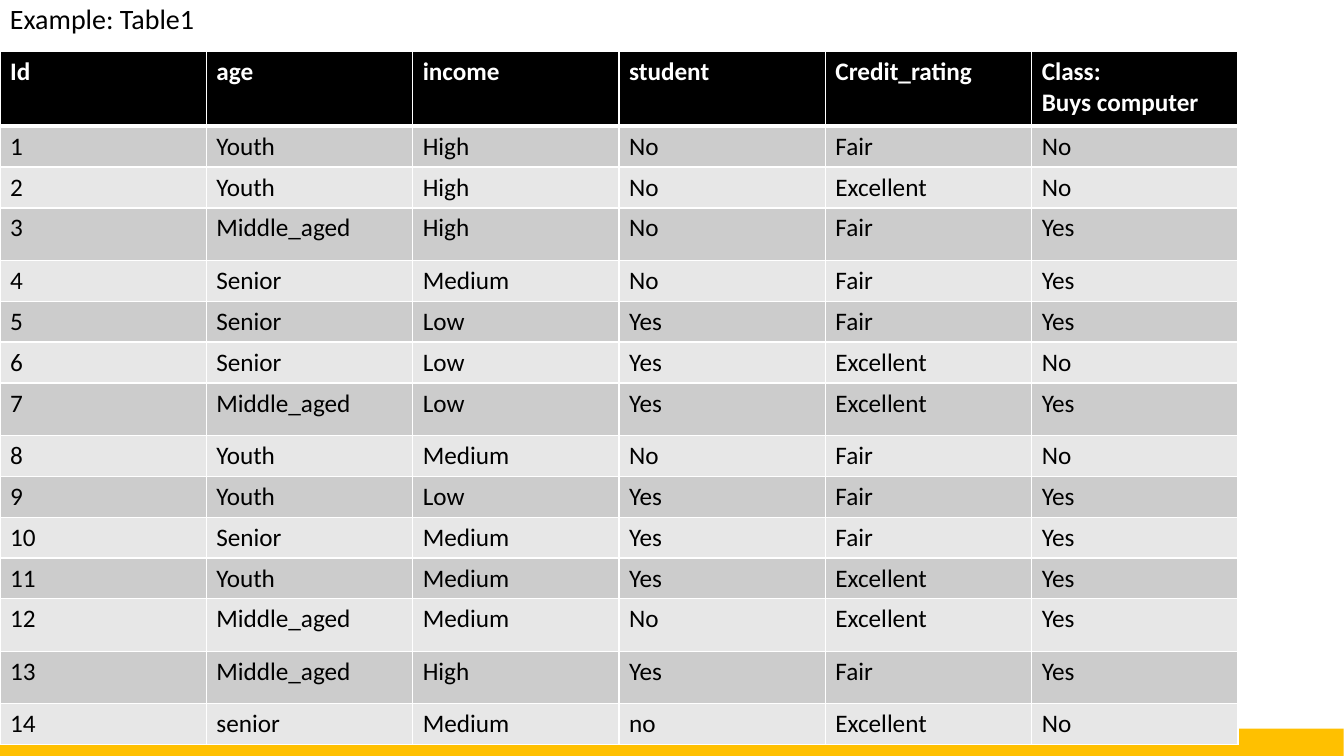
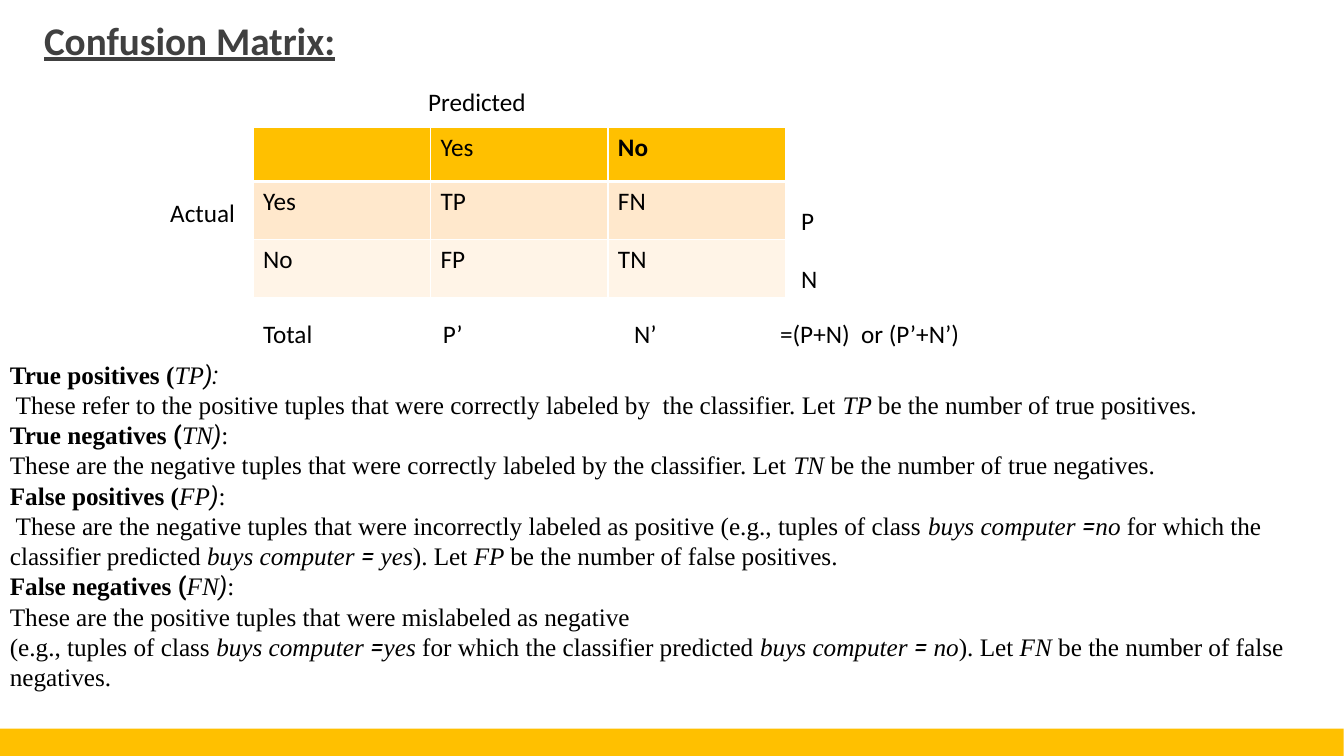
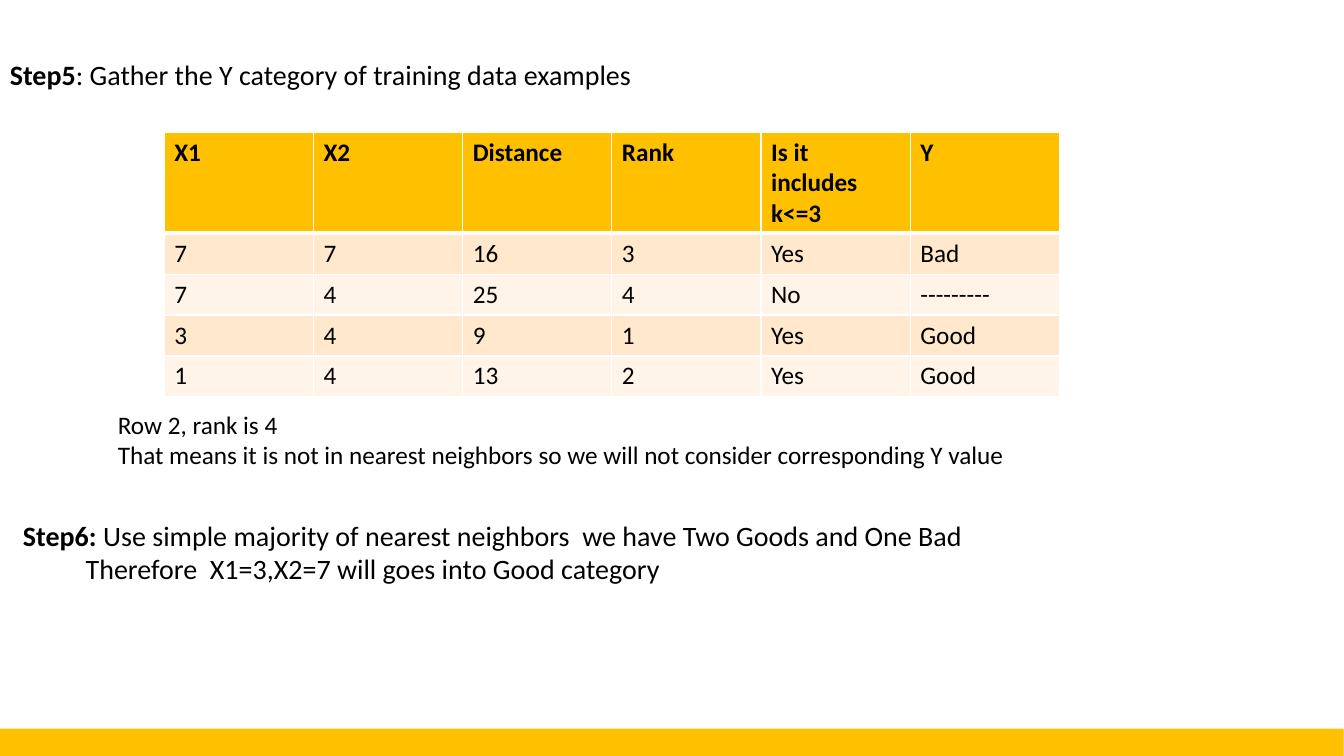
from lxml.etree import SubElement
from pptx import Presentation
from pptx.dml.color import RGBColor
from pptx.enum.shapes import MSO_SHAPE
from pptx.enum.text import MSO_ANCHOR
from pptx.oxml.ns import qn
from pptx.util import Cm, Pt

# Shared look
BLACK, WHITE, GOLD, TITLE_GREY = "000000", "FFFFFF", "FFC000", "404040"
GREY_BANDS = ("CCCCCC", "E7E7E7")
CREAM_BANDS = ("FFE8CC", "FFF4E7")
BODY_FONT, DEFINITION_FONT, SYMBOL_FONT = "Calibri", "Times New Roman", "Roboto"
color = RGBColor.from_string


def write_text(text_frame, paragraphs, size=18, font=BODY_FONT, text_color=BLACK, tab_stops=()):
    """Each paragraph is a list of (text, style); style letters: b, i, u, s (symbol font)."""
    text_frame.word_wrap = True
    for index, runs in enumerate(paragraphs):
        paragraph = text_frame.add_paragraph() if index else text_frame.paragraphs[0]
        if tab_stops:
            tab_list = SubElement(paragraph._p.get_or_add_pPr(), qn("a:tabLst"))
            for stop in tab_stops:
                SubElement(tab_list, qn("a:tab"), pos=str(Cm(stop)), algn="l")
        for text, style in runs:
            run = paragraph.add_run()
            run.text = text
            run.font.name = SYMBOL_FONT if "s" in style else font
            run.font.size = Pt(size)
            run.font.color.rgb = color(text_color)
            run.font.bold = "b" in style
            run.font.italic = "i" in style
            run.font.underline = "u" in style


def add_grid(slide, left, top, column_width, row_heights, rows, header_fill, header_color, bands):
    column_count = len(rows[0])
    table = slide.shapes.add_table(
        len(rows), column_count, Cm(left), Cm(top),
        Cm(column_width * column_count), Cm(sum(row_heights))).table
    table.horz_banding = False
    for column in table.columns:
        column.width = Cm(column_width)
    for row_index, values in enumerate(rows):
        table.rows[row_index].height = Cm(row_heights[row_index])
        is_header = row_index == 0
        for column_index, value in enumerate(values):
            cell = table.cell(row_index, column_index)
            # White rules, with a thick one under the header
            thick_side = {0: "a:lnB", 1: "a:lnT"}.get(row_index)
            for side in ("a:lnL", "a:lnR", "a:lnT", "a:lnB"):
                width = Pt(3 if side == thick_side else 1)
                line = SubElement(cell._tc.get_or_add_tcPr(), qn(side), w=str(width))
                SubElement(SubElement(line, qn("a:solidFill")), qn("a:srgbClr"), val=WHITE)
            cell.fill.solid()
            cell.fill.fore_color.rgb = color(header_fill if is_header else bands[(row_index - 1) % 2])
            write_text(cell.text_frame,
                       [[(text, "b" if is_header else "")] for text in value.splitlines()],
                       text_color=header_color if is_header else BLACK)
    return table


# Slides with the footer band
presentation = Presentation()
presentation.slide_width, presentation.slide_height = Cm(33.87), Cm(19.05)
slides = []
for _ in range(3):
    slide = presentation.slides.add_slide(presentation.slide_layouts[6])
    band = slide.shapes.add_shape(MSO_SHAPE.RECTANGLE, Cm(-0.05), Cm(18.36), Cm(33.91), Cm(0.69))
    band.shadow.inherit = False
    band.fill.solid()
    band.fill.fore_color.rgb = color(GOLD)
    band.line.fill.background()
    slides.append(slide)
example_slide, matrix_slide, steps_slide = slides

# Definitions under the confusion matrix
definitions = [
    [("True positives (", "b"), ("TP", "i"), ("):", "is")],
    [(" These refer to the positive tuples that were correctly labeled by  the classifier. Let ", ""),
     ("TP ", "i"), ("be the number of true positives.", "")],
    [("True negatives ", "b"), ("(", "bs"), ("TN", "i"), (")", "is"), (":", "")],
    [("These are the negative tuples that were correctly labeled by the classifier. Let ", ""),
     ("TN ", "i"), ("be the number of true negatives.", "")],
    [("False positives (", "b"), ("FP", "i"), (")", "is"), (":", "")],
    [(" These are the negative tuples that were incorrectly labeled as positive (e.g., tuples of class ", ""),
     ("buys computer ", "i"), ("=", "is"), ("no ", "i"), ("for which the classifier predicted ", ""),
     ("buys computer ", "i"), ("= ", "is"), ("yes", "i"), ("). Let ", ""),
     ("FP ", "i"), ("be the number of false positives.", "")],
    [("False negatives ", "b"), ("(", "bs"), ("FN", "i"), (")", "is"), (":", "")],
    [("These are the positive tuples that were mislabeled as negative", "")],
    [("(e.g., tuples of class ", ""),
     ("buys computer ", "i"), ("=", "is"), ("yes ", "i"), ("for which the classifier predicted ", ""),
     ("buys computer ", "i"), ("= ", "is"), ("no", "i"), ("). Let ", ""),
     ("FN ", "i"), ("be the number of false negatives.", "")],
]

# Text boxes: slide, (left, top, width, height), paragraphs, text options
text_boxes = [
    (example_slide, (0, -0.08, 33.86, 18.31), [[("Example: Table1", "")]], {"size": 20}),
    (matrix_slide, (0.86, 0.2, 23.22, 1.6), [[("Confusion Matrix:", "bu")]],
     {"size": 28, "text_color": TITLE_GREY}),
    (matrix_slide, (4.04, 4.85, 2.46, 1.02), [[("Actual", "")]], {}),
    (matrix_slide, (10.54, 2.06, 6.48, 1.02), [[("Predicted", "")]], {}),
    (matrix_slide, (6.38, 7.9, 13.41, 1.02), [[("Total\tP’\tN’", "")]], {"tab_stops": (4.53, 9.35)}),
    (matrix_slide, (19.94, 5.05, 2.46, 1.02), [[("P", "")]], {}),
    (matrix_slide, (19.94, 6.5, 1.96, 1.02), [[("N", "")]], {}),
    (matrix_slide, (19.41, 7.9, 5.99, 1.02), [[("=(P+N)  or (P’+N’)", "")]], {}),
    (matrix_slide, (0, 8.92, 33.32, 8.71), definitions, {"font": DEFINITION_FONT}),
    (steps_slide, (0, 1.32, 33.86, 16.99),
     [[("Step5", "b"), (": Gather the Y category of training data examples", "")]], {"size": 20}),
    (steps_slide, (2.72, 10.19, 26.39, 1.8),
     [[("Row 2, rank is 4", "")],
      [("That means it is not in nearest neighbors so we will not consider corresponding Y value", "")]], {}),
    (steps_slide, (0.33, 12.93, 29.79, 1.96),
     [[("Step6: ", "b"), ("Use simple majority of nearest neighbors  we have Two Goods and One Bad", "")],
      [("\tTherefore  X1=3,X2=7 will goes into Good category", "")]], {"size": 20, "tab_stops": (1.58,)}),
]
for slide, box, paragraphs, options in text_boxes:
    shape = slide.shapes.add_textbox(*(Cm(length) for length in box))
    write_text(shape.text_frame, paragraphs, **options)
    if options.get("text_color") == TITLE_GREY:
        shape.text_frame.vertical_anchor = MSO_ANCHOR.MIDDLE

# Training data; rows for the middle aged are taller
customers = [
    ("Id", "age", "income", "student", "Credit_rating", "Class:\nBuys computer"),
    ("1", "Youth", "High", "No", "Fair", "No"),
    ("2", "Youth", "High", "No", "Excellent", "No"),
    ("3", "Middle_aged", "High", "No", "Fair", "Yes"),
    ("4", "Senior", "Medium", "No", "Fair", "Yes"),
    ("5", "Senior", "Low", "Yes", "Fair", "Yes"),
    ("6", "Senior", "Low", "Yes", "Excellent", "No"),
    ("7", "Middle_aged", "Low", "Yes", "Excellent", "Yes"),
    ("8", "Youth", "Medium", "No", "Fair", "No"),
    ("9", "Youth", "Low", "Yes", "Fair", "Yes"),
    ("10", "Senior", "Medium", "Yes", "Fair", "Yes"),
    ("11", "Youth", "Medium", "Yes", "Excellent", "Yes"),
    ("12", "Middle_aged", "Medium", "No", "Excellent", "Yes"),
    ("13", "Middle_aged", "High", "Yes", "Fair", "Yes"),
    ("14", "senior", "Medium", "no", "Excellent", "No"),
]
customer_heights = [1.88] + [1.32 if row[1] == "Middle_aged" else 1.03 for row in customers[1:]]
add_grid(example_slide, 0, 1.3, 5.2, customer_heights, customers, BLACK, WHITE, GREY_BANDS)

# Confusion matrix; its first column heading is not bold
matrix = [("", "Yes", "No"), ("Yes", "TP", "FN"), ("No", "FP", "TN")]
matrix_table = add_grid(matrix_slide, 6.38, 3.2, 4.47, [1.37, 1.47, 1.47], matrix,
                        GOLD, BLACK, CREAM_BANDS)
matrix_table.cell(0, 1).text_frame.paragraphs[0].runs[0].font.bold = False

# Nearest neighbors
neighbors = [
    ("X1", "X2", "Distance", "Rank", "Is it includes k<=3", "Y"),
    ("7", "7", "16", "3", "Yes", "Bad"),
    ("7", "4", "25", "4", "No", "---------"),
    ("3", "4", "9", "1", "Yes", "Good"),
    ("1", "4", "13", "2", "Yes", "Good"),
]
add_grid(steps_slide, 4.14, 3.33, 3.76, [2.55] + [1.03] * 4, neighbors, GOLD, BLACK, CREAM_BANDS)

presentation.save("out.pptx")
